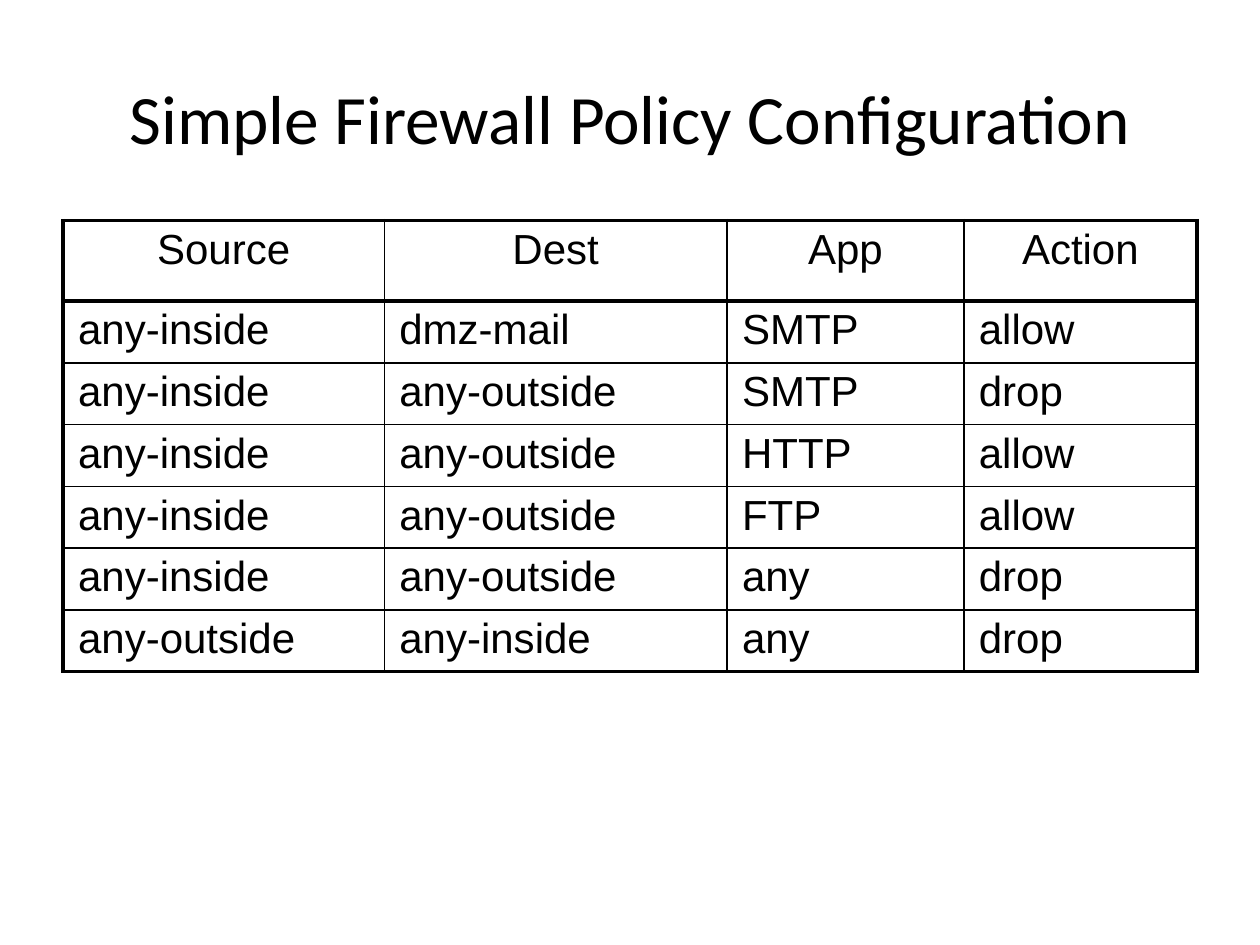
from dataclasses import dataclass

from lxml.etree import SubElement
from pptx import Presentation
from pptx.dml.color import RGBColor
from pptx.enum.text import MSO_ANCHOR as Anchor, PP_ALIGN as Align
from pptx.oxml.ns import qn
from pptx.slide import Slide
from pptx.table import _Cell as Cell
from pptx.text.text import _Paragraph as Paragraph
from pptx.util import Inches, Pt

COLORS = {"ink": "000000", "paper": "FFFFFF"}
WIDTH, HEIGHT = Inches(10), Inches(7.5)
MARGIN = 0.05  # share of the slide width
THIN, THICK = Pt(1), Pt(2.25)


@dataclass(frozen=True)
class Column:
    heading: str
    share: float  # of the slide width


@dataclass(frozen=True)
class Rule:
    source: str
    dest: str
    app: str
    action: str


COLUMNS = [
    Column("Source", 0.255),
    Column("Dest", 0.272),
    Column("App", 0.188),
    Column("Action", 0.185),
]
RULES = [
    Rule("any-inside", "dmz-mail", "SMTP", "allow"),
    Rule("any-inside", "any-outside", "SMTP", "drop"),
    Rule("any-inside", "any-outside", "HTTP", "allow"),
    Rule("any-inside", "any-outside", "FTP", "allow"),
    Rule("any-inside", "any-outside", "any", "drop"),
    Rule("any-outside", "any-inside", "any", "drop"),
]


def write(paragraph: Paragraph, text: str, font: str, size: float, align: Align) -> None:
    paragraph.alignment = align
    run = paragraph.add_run()
    run.text = text
    run.font.name = font
    run.font.size = Pt(size)
    run.font.color.rgb = RGBColor.from_string(COLORS["ink"])


def add_title(slide: Slide, text: str) -> None:
    box = slide.shapes.add_textbox(
        int(WIDTH * MARGIN), int(HEIGHT * 0.04),
        int(WIDTH * (1 - 2 * MARGIN)), Inches(1.25),
    )
    frame = box.text_frame
    frame.word_wrap = True
    frame.vertical_anchor = Anchor.MIDDLE
    write(frame.paragraphs[0], text, "Calibri", 39.6, Align.CENTER)


def set_borders(cell: Cell, widths: dict[str, int]) -> None:
    properties = cell._tc.get_or_add_tcPr()
    # Borders must come before the fill in the cell properties
    for index, (side, width) in enumerate(widths.items()):
        line = SubElement(properties, qn(f"a:ln{side}"), w=str(width))
        fill = SubElement(line, qn("a:solidFill"))
        SubElement(fill, qn("a:srgbClr"), val=COLORS["ink"])
        properties.insert(index, line)


def add_policy_table(slide: Slide, columns: list[Column], rules: list[Rule]) -> None:
    rows = [[column.heading for column in columns]]
    rows += [[rule.source, rule.dest, rule.app, rule.action] for rule in rules]
    heights = [Inches(0.64)] + [Inches(0.47)] * len(rules)
    table = slide.shapes.add_table(
        len(rows), len(columns), int(WIDTH * MARGIN), Inches(1.75),
        int(WIDTH * (1 - 2 * MARGIN)), sum(heights),
    ).table
    table.horz_banding = False
    for table_column, column in zip(table.columns, columns):
        table_column.width = int(WIDTH * column.share)

    last_row, last_column = len(rows) - 1, len(columns) - 1
    for r, (values, height) in enumerate(zip(rows, heights)):
        table.rows[r].height = height
        for c, value in enumerate(values):
            cell = table.cell(r, c)
            cell.margin_left = cell.margin_right = Inches(0.12)
            cell.margin_top = cell.margin_bottom = Pt(3.25)
            cell.fill.solid()
            cell.fill.fore_color.rgb = RGBColor.from_string(COLORS["paper"])
            align = Align.CENTER if r == 0 else Align.LEFT
            write(cell.text_frame.paragraphs[0], value, "Arial", 24, align)
            cell.text_frame.paragraphs[0].runs[0].font.bold = False
            # Thick outer frame and a thick line below the headings
            set_borders(cell, {
                "L": THICK if c == 0 else THIN,
                "R": THICK if c == last_column else THIN,
                "T": THICK if r <= 1 else THIN,
                "B": THICK if r in (0, last_row) else THIN,
            })


def main() -> None:
    presentation = Presentation()
    presentation.slide_width, presentation.slide_height = WIDTH, HEIGHT
    slide = presentation.slides.add_slide(presentation.slide_layouts[6])
    add_title(slide, "Simple Firewall Policy Configuration")
    add_policy_table(slide, COLUMNS, RULES)
    presentation.save("out.pptx")


if __name__ == "__main__":
    main()
